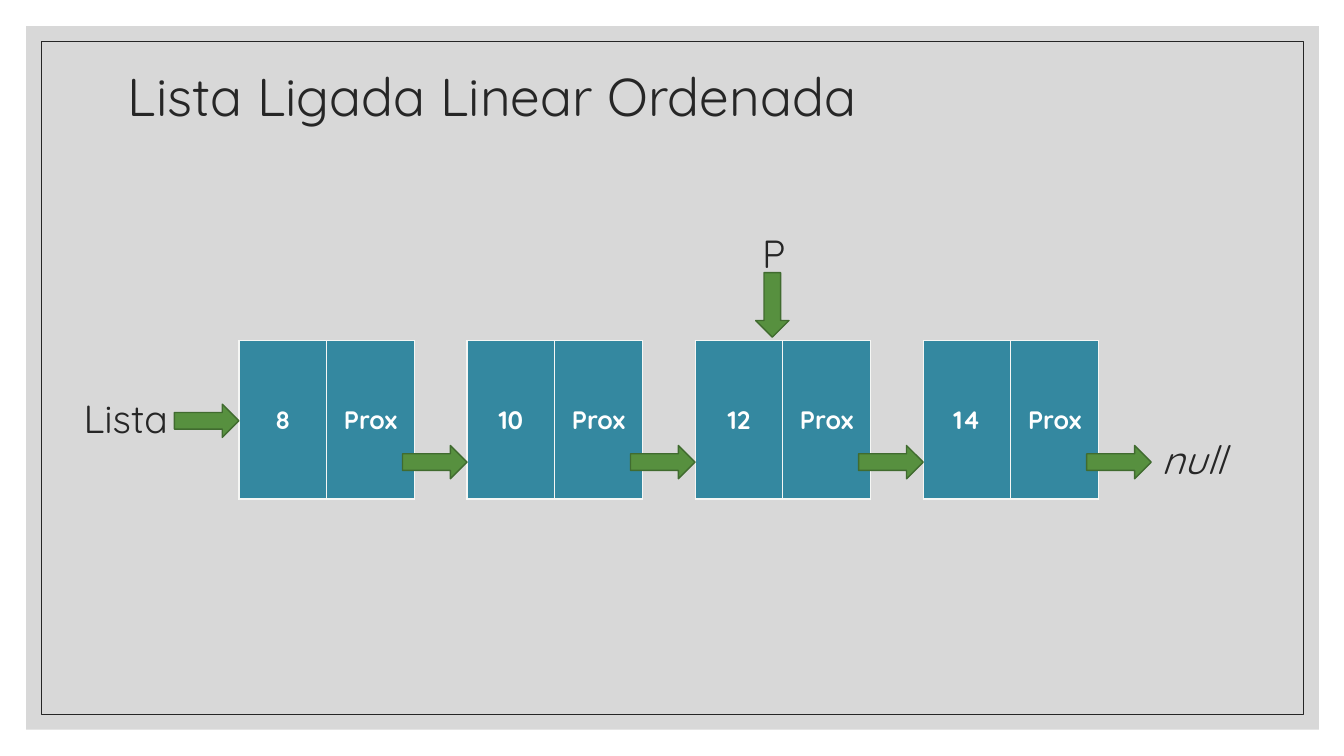
from dataclasses import dataclass

from lxml import etree
from pptx import Presentation
from pptx.dml.color import RGBColor
from pptx.enum.shapes import MSO_SHAPE
from pptx.enum.text import MSO_ANCHOR, PP_ALIGN
from pptx.oxml.ns import qn
from pptx.util import Inches, Pt

RECT, ARROW = MSO_SHAPE.RECTANGLE, MSO_SHAPE.RIGHT_ARROW
MIDDLE = MSO_ANCHOR.MIDDLE
LEFT, CENTER = PP_ALIGN.LEFT, PP_ALIGN.CENTER

FONT = "Quicksand"
INK, GRAY, WHITE = "262626", "BFBFBF", "FFFFFF"
TEAL, GREEN, MOSS, EDGE = "3488A0", "57903F", "406B2F", "F5F6F4"

NODES = ["8", "10", "12", "14"]
START, PITCH = 2.37, 2.262
TOP, CELL, TALL = 3.38, 0.87, 1.57
LONG, THICK = 0.64, 0.33


@dataclass
class Label:
    text: str
    x: float
    y: float
    w: float
    h: float
    size: int = 28
    italic: bool = False


@dataclass
class Pointer:
    x: float
    y: float
    turn: int = 0


LABELS = [
    Label("Lista Ligada Linear Ordenada", 1.17, 0.24, 11, 1.5, size=38),
    Label("Lista", 0.73, 3.42, 1.38, 1.5),
    Label("null", 11.42, 3.83, 1.38, 1.5, italic=True),
    Label("P", 7.46, 2.22, 0.37, 0.64),
]
# One pointer leaves each node; two more mark the head and P
POINTERS = [Pointer(START + (i + 1) * PITCH - LONG, 4.42) for i in range(len(NODES))]
POINTERS += [Pointer(START - LONG, 4.01), Pointer(7.34, 2.86, turn=90)]


def color(code: str) -> RGBColor:
    return RGBColor.from_string(code)


def write(frame, text: str, size=28, ink=INK, bold=False, italic=False,
          align=LEFT, space=1.0) -> None:
    para = frame.paragraphs[0]
    para.alignment, para.line_spacing = align, space
    run = para.add_run()
    run.text = text
    font = run.font
    font.name, font.size = FONT, Pt(size)
    font.bold, font.italic = bold, italic
    font.color.rgb = color(ink)


def draw(slide, kind, x: float, y: float, w: float, h: float,
         fill=None, line=None, width=1.0):
    shape = slide.shapes.add_shape(kind, Inches(x), Inches(y), Inches(w), Inches(h))
    shape.shadow.inherit = False
    if fill:
        shape.fill.solid()
        shape.fill.fore_color.rgb = color(fill)
    else:
        shape.fill.background()
    if line:
        shape.line.color.rgb = color(line)
        shape.line.width = Pt(width)
    else:
        shape.line.fill.background()
    return shape


def fade(shape, percent: int) -> None:
    tint = shape.fill._xPr.find(".//" + qn("a:srgbClr"))
    etree.SubElement(tint, qn("a:alpha"), val=str(percent * 1000))


def border(cell) -> None:
    props = cell._tc.get_or_add_tcPr()
    for spot, side in enumerate(("a:lnL", "a:lnR", "a:lnT", "a:lnB")):
        line = etree.Element(qn(side), w=str(Pt(1)))
        fill = etree.SubElement(line, qn("a:solidFill"))
        etree.SubElement(fill, qn("a:srgbClr"), val=EDGE)
        props.insert(spot, line)


def add_node(slide, x: float, value: str) -> None:
    table = slide.shapes.add_table(1, 2, Inches(x), Inches(TOP),
                                   Inches(2 * CELL), Inches(TALL)).table
    for col, text in enumerate((value, "Prox")):
        table.columns[col].width = Inches(CELL)
        cell = table.cell(0, col)
        cell.vertical_anchor = MIDDLE
        cell.fill.solid()
        cell.fill.fore_color.rgb = color(TEAL)
        border(cell)
        write(cell.text_frame, text, size=18, ink=WHITE, bold=True, align=CENTER)


def add_label(slide, item: Label) -> None:
    box = slide.shapes.add_textbox(Inches(item.x), Inches(item.y),
                                   Inches(item.w), Inches(item.h))
    frame = box.text_frame
    frame.word_wrap, frame.vertical_anchor = True, MIDDLE
    write(frame, item.text, size=item.size, italic=item.italic, space=0.9)


deck = Presentation()
deck.slide_width, deck.slide_height = Inches(13.33), Inches(7.5)
slide = deck.slides.add_slide(deck.slide_layouts[6])

# Backdrop and frame
fade(draw(slide, RECT, 0.26, 0.26, 12.82, 6.98, fill=GRAY), 60)
draw(slide, RECT, 0.41, 0.41, 12.52, 6.68, line=INK, width=0.5)

# List nodes
for i, value in enumerate(NODES):
    add_node(slide, START + i * PITCH, value)

# Pointers
for item in POINTERS:
    arrow = draw(slide, ARROW, item.x, item.y, LONG, THICK, fill=GREEN, line=MOSS)
    arrow.rotation = item.turn

# Title and labels
for item in LABELS:
    add_label(slide, item)

deck.save("out.pptx")
